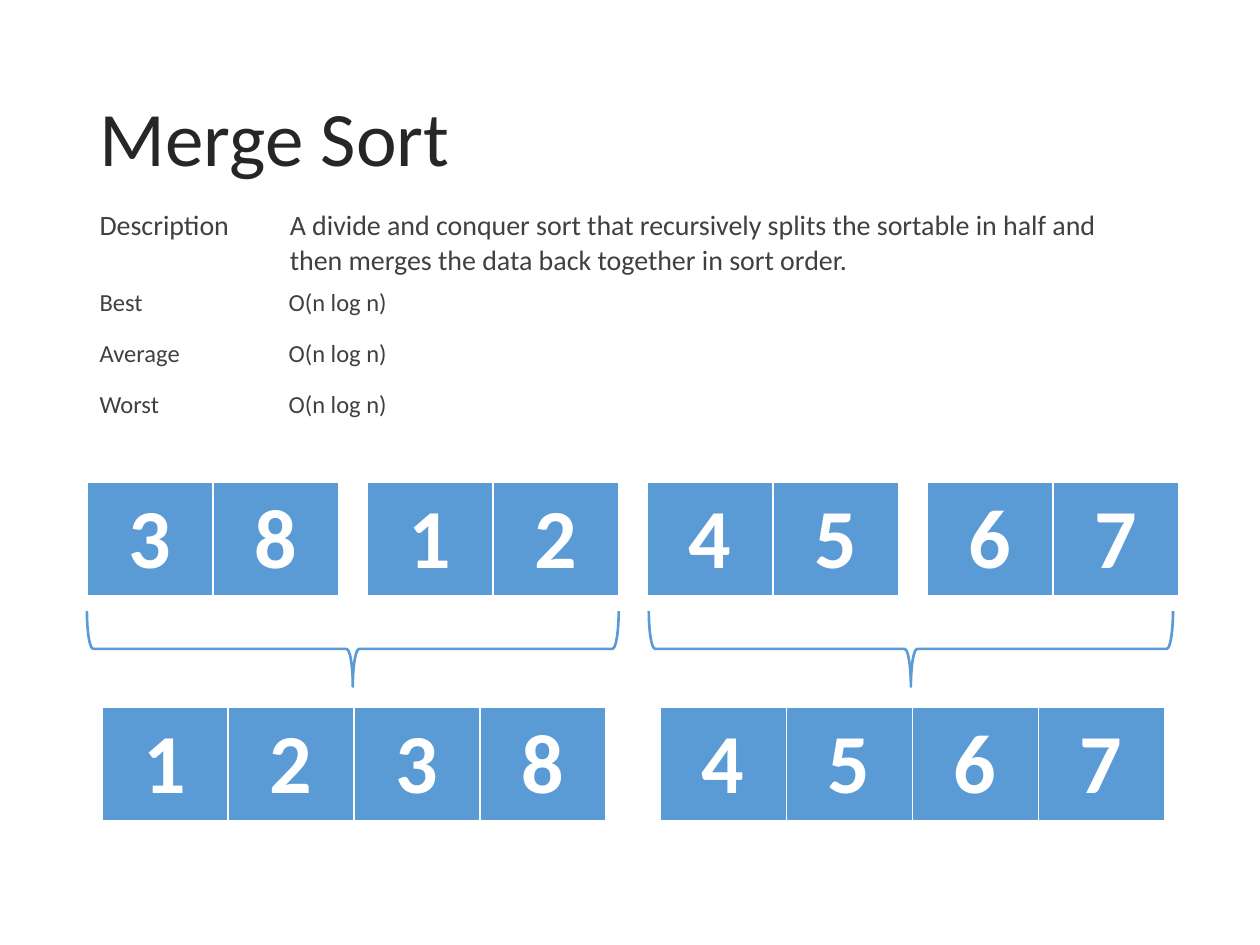
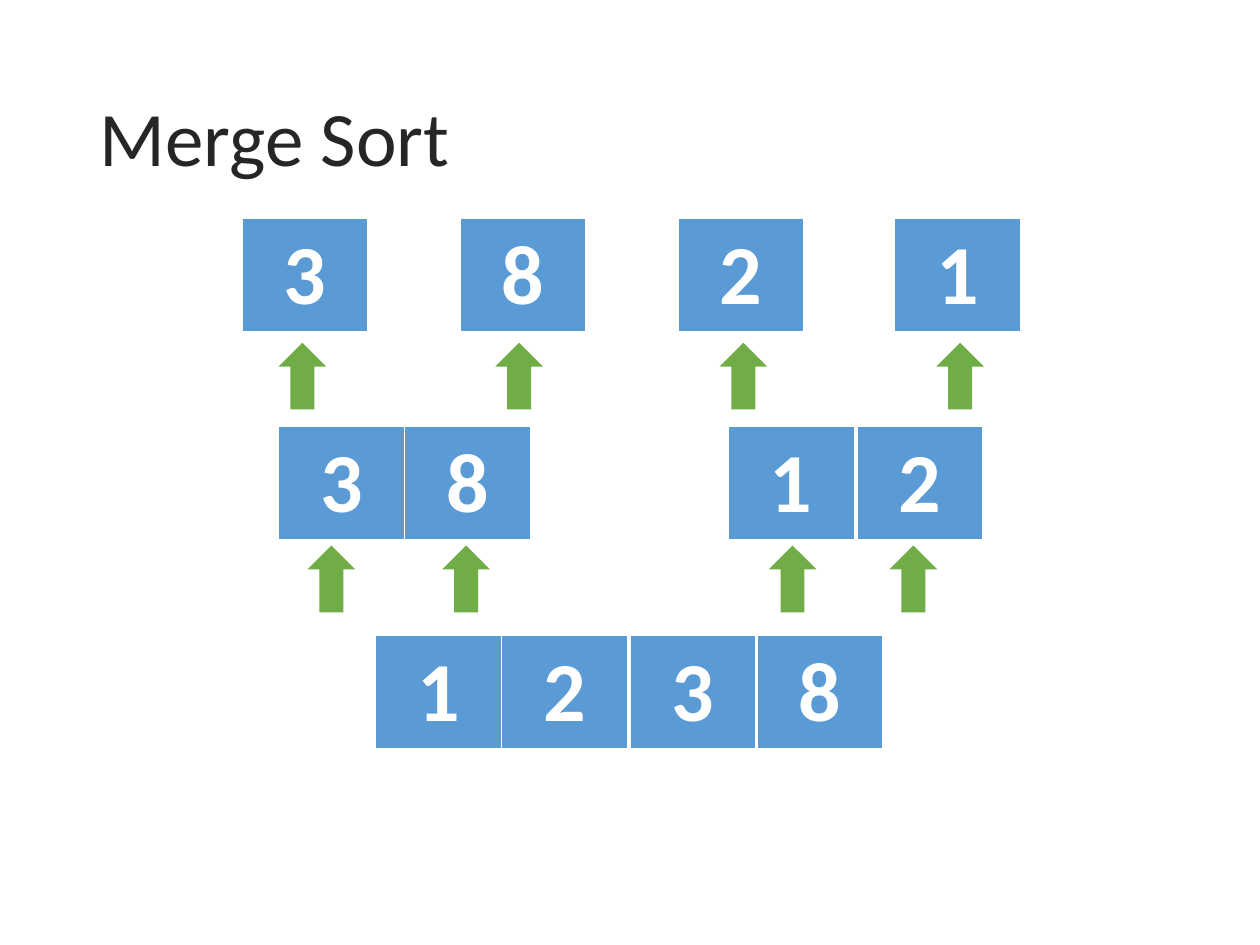
from pptx import Presentation
from pptx import util as u
from pptx.dml.color import RGBColor
from pptx.enum import shapes, text
from pptx.oxml import parse_xml
from pptx.oxml.ns import nsdecls

FONT = "Calibri"
BLUE, GREEN, WHITE = "5B9BD5", "70AD47", "FFFFFF"
INK, GREY = "262626", "404040"
TILE_W, TILE_H = 1, 0.89

deck = Presentation()
deck.slide_width, deck.slide_height = u.Inches(10), u.Inches(7.5)
COL, ROW = deck.slide_width / 10, deck.slide_height / 7.5


def grid(x, y, w, h):
    """Turn columns and rows of the grid into lengths."""
    return round(x * COL), round(y * ROW), round(w * COL), round(h * ROW)


def rgb(code):
    return RGBColor.from_string(code)


def style(para, size, color, bold=False, align=text.PP_ALIGN.LEFT):
    para.alignment = align
    for run in para.runs:
        font = run.font
        font.name, font.size, font.bold = FONT, u.Pt(size), bold
        font.color.rgb = rgb(color)


def edge(cell):
    """White cell borders, thicker below."""
    props = cell._tc.get_or_add_tcPr()
    for side, width in (("L", 1), ("R", 1), ("T", 1), ("B", 3)):
        props.append(parse_xml(
            f'<a:ln{side} {nsdecls("a")} w="{u.Pt(width)}"><a:solidFill>'
            f'<a:srgbClr val="{WHITE}"/></a:solidFill></a:ln{side}>'))


def table(slide, x, y, rows, widths, height):
    box = grid(x, y, sum(widths), height * len(rows))
    tab = slide.shapes.add_table(len(rows), len(widths), *box).table
    tab.first_row = tab.horz_banding = False
    for col, width in zip(tab.columns, widths):
        col.width = round(width * COL)
    for line, words in zip(tab.rows, rows):
        line.height = round(height * ROW)
        for cell, word in zip(line.cells, words):
            cell.text = word
    return tab


def facts(slide, x, y, rows, widths, height, size):
    """Plain table of labels and values."""
    for cell in table(slide, x, y, rows, widths, height).iter_cells():
        cell.fill.background()
        style(cell.text_frame.paragraphs[0], size, GREY)


def tiles(slide, x, y, nums):
    """Run of joined number tiles."""
    tab = table(slide, x, y, [nums], [TILE_W] * len(nums), TILE_H)
    for cell in tab.iter_cells():
        edge(cell)
        cell.fill.solid()
        cell.fill.fore_color.rgb = rgb(BLUE)
        style(cell.text_frame.paragraphs[0], 48, WHITE, True,
              text.PP_ALIGN.CENTER)


def brace(slide, x, y, w, h):
    """Brace that spans w and points down."""
    box = grid(x + (w - h) / 2, y + (h - w) / 2, h, w)
    mark = slide.shapes.add_shape(shapes.MSO_SHAPE.LEFT_BRACE, *box)
    mark.rotation = 270
    mark.shadow.inherit = False
    mark.fill.background()
    mark.line.color.rgb = rgb(BLUE)
    mark.line.width = u.Pt(1.5)


def arrow(slide, x, y):
    mark = slide.shapes.add_shape(shapes.MSO_SHAPE.UP_ARROW,
                                  *grid(x, y, 0.38, 0.53))
    mark.shadow.inherit = False
    mark.fill.solid()
    mark.fill.fore_color.rgb = rgb(GREEN)
    mark.line.fill.background()


def page(name):
    slide = deck.slides.add_slide(deck.slide_layouts[5])
    title = slide.shapes.title
    title.left, title.top, title.width, title.height = grid(
        0.69, 0.4, 8.62, 1.45)
    frame = title.text_frame
    frame.text = name
    frame.word_wrap = True
    frame.vertical_anchor = text.MSO_ANCHOR.MIDDLE
    frame.paragraphs[0].line_spacing = 0.9
    style(frame.paragraphs[0], 44, INK)
    return slide


def about(slide, x, y):
    """Description, then cost of each case."""
    story = ("A divide and conquer sort that recursively splits the sortable "
             "in half and then merges the data back together in sort order.")
    facts(slide, x, y, [("Description", story)], (1.51, 6.72), 0.63, 16)
    costs = [(case, "O(n log n)") for case in ("Best", "Average", "Worst")]
    facts(slide, x, y + 0.63, costs, (1.5, 1.5), 0.405, 14)


def merge(slide, x, y):
    """Sorted pairs, braces and the merged halves."""
    for i, pair in enumerate(("38", "12", "45", "67")):
        tiles(slide, x + 2.223 * i, y, pair)
    for left, span, half, nums in ((0, 4.22, 0.12, "1238"),
                                   (4.46, 4.16, 4.55, "4567")):
        brace(slide, x + left, y + 1.02, span, 0.6)
        tiles(slide, x + half, y + 1.78, nums)


def tree(slide, x, y):
    """Three tiers of tiles with arrows in between."""
    step = 1.655
    tiers = (("3821", (0, 1.73, 3.46, 5.18)),
             ("3812", (0.29, 1.29, 3.86, 4.88)),
             ("1238", (1.06, 2.06, 3.08, 4.09)))
    for i, (nums, lefts) in enumerate(tiers):
        for num, left in zip(nums, lefts):
            tiles(slide, x + left, y + step * i, num)
    links = ((0.99, (0.29, 2.01, 3.79, 5.51)),
             (2.6, (0.52, 1.59, 4.18, 5.14)))
    for top, lefts in links:
        for left in lefts:
            arrow(slide, x + left, y + top)


def main():
    first = page("Merge Sort")
    about(first, 0.69, 1.61)
    merge(first, 0.69, 3.83)
    tree(page("Merge Sort"), 1.92, 1.73)
    deck.save("out.pptx")


if __name__ == "__main__":
    main()
